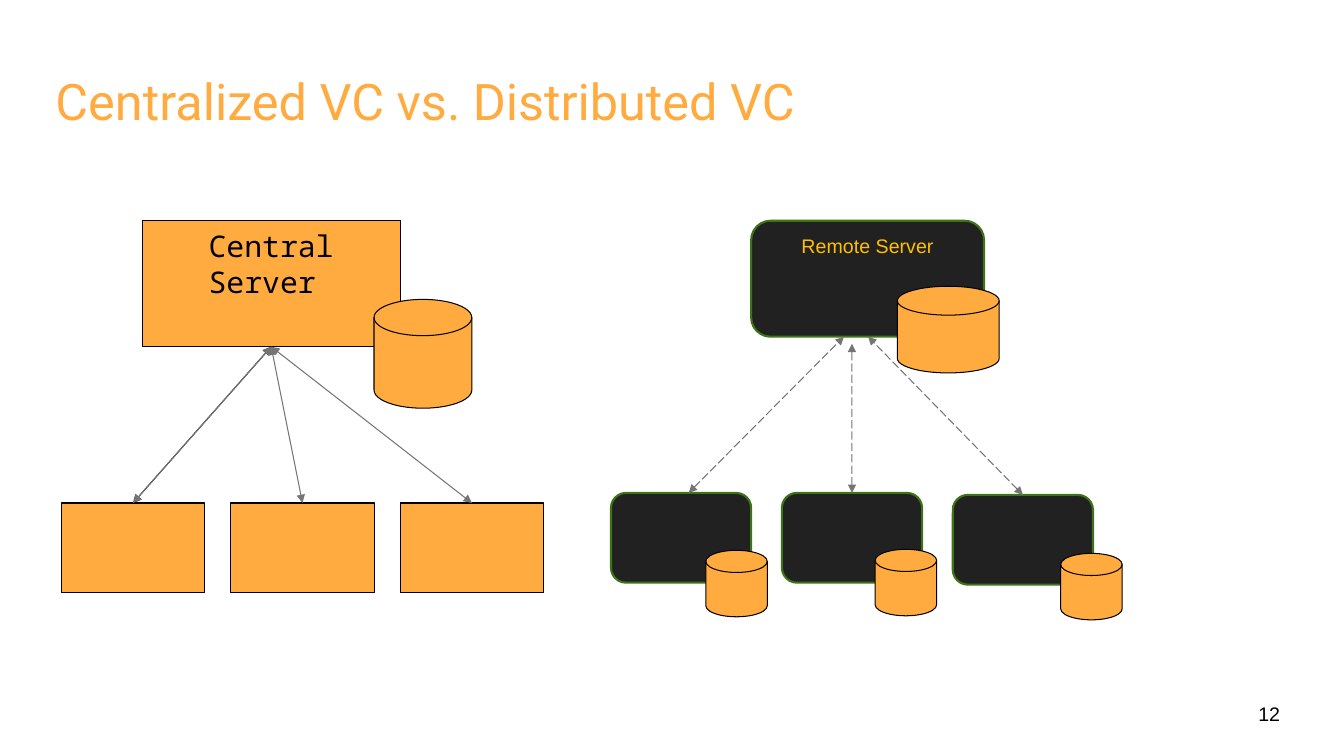
"""Build a slide comparing centralized and distributed version control."""
from lxml.etree import SubElement
from pptx import Presentation
from pptx.dml.color import RGBColor
from pptx.enum.dml import MSO_LINE
from pptx.enum.shapes import MSO_CONNECTOR, MSO_SHAPE
from pptx.enum.text import MSO_ANCHOR, PP_ALIGN
from pptx.oxml.ns import qn
from pptx.util import Inches, Pt

ORANGE = RGBColor(0xFF, 0xAB, 0x40)
GOLD = RGBColor(0xFF, 0xC0, 0x00)
BLACK = RGBColor(0x00, 0x00, 0x00)
CHARCOAL = RGBColor(0x21, 0x21, 0x21)
GREEN = RGBColor(0x3D, 0x74, 0x18)
GRAY = RGBColor(0x75, 0x75, 0x75)

TITLE = "Centralized VC vs. Distributed VC"
CENTRAL_LABEL = ["Central", "Server"]
REMOTE_LABEL = ["Remote Server"]
PAGE_NUMBER = "12"

CENTRAL_SERVER = (1.41, 2.19, 2.56, 1.25)
CENTRAL_DISK = (3.71, 2.97, 0.97, 1.08)
CENTRAL_CLIENTS = [(0.61 + 1.68 * i, 4.99, 1.42, 0.89) for i in range(3)]

REMOTE_SERVER = (7.45, 2.19, 2.31, 1.15)
REMOTE_DISK = (8.9, 2.84, 1.01, 0.86)
REMOTE_CLIENTS = [(6.06 + 1.695 * i, top, 1.39, 0.89)
                  for i, top in enumerate((4.89, 4.89, 4.91))]
CLIENT_DISKS = [(left, top, 0.61, 0.66)
                for left, top in ((7, 5.46), (8.68, 5.45), (10.52, 5.49))]
REMOTE_LINKS = [((6.83, 4.89), (8.37, 3.34)),
                ((8.45, 4.89), (8.45, 3.41)),
                ((10.15, 4.91), (8.61, 3.34))]


def inches(values):
    return [Inches(value) for value in values]


def add_block(slide, kind, box, fill, border, weight):
    block = slide.shapes.add_shape(kind, *inches(box))
    block.shadow.inherit = False
    block.fill.solid()
    block.fill.fore_color.rgb = fill
    block.line.color.rgb = border
    block.line.width = Pt(weight)
    return block


def add_box(slide, box):
    return add_block(slide, MSO_SHAPE.RECTANGLE, box, ORANGE, BLACK, 0.75)


def add_rounded(slide, box):
    return add_block(slide, MSO_SHAPE.ROUNDED_RECTANGLE, box, CHARCOAL, GREEN, 1.5)


def add_disk(slide, box):
    return add_block(slide, MSO_SHAPE.FLOWCHART_MAGNETIC_DISK, box, ORANGE, BLACK, 0.75)


def write(shape, lines, font, size, color, align=PP_ALIGN.LEFT,
          anchor=MSO_ANCHOR.TOP, margins=(0.13, 0.07, 0.13, 0.07)):
    frame = shape.text_frame
    frame.word_wrap = True
    frame.vertical_anchor = anchor
    (frame.margin_left, frame.margin_top,
     frame.margin_right, frame.margin_bottom) = inches(margins)
    frame.text = "\n".join(lines)
    for paragraph in frame.paragraphs:
        paragraph.alignment = align
        paragraph.font.name = font
        paragraph.font.size = Pt(size)
        paragraph.font.color.rgb = color


def add_link(slide, start, end, color=GRAY, dash=None):
    link = slide.shapes.add_connector(MSO_CONNECTOR.STRAIGHT, *inches(start + end))
    link.line.color.rgb = color
    link.line.width = Pt(0.75)
    if dash:
        link.line.dash_style = dash
    outline = link.line._get_or_add_ln()
    for arrowhead in ("a:headEnd", "a:tailEnd"):
        SubElement(outline, qn(arrowhead), type="triangle", w="med", len="med")
    SubElement(link._element.spPr, qn("a:effectLst"))
    return link


def draw_centralized(slide):
    server = add_box(slide, CENTRAL_SERVER)
    write(server, CENTRAL_LABEL, "Noto Sans Mono", 21.3, BLACK,
          margins=(0.66, 0.07, 0.13, 0.07))
    add_disk(slide, CENTRAL_DISK)
    clients = [add_box(slide, box) for box in CENTRAL_CLIENTS]
    for client, color in zip(clients[:1] + clients, (BLACK, GRAY, GRAY, GRAY)):
        link = add_link(slide, (0, 0), (1, 1), color)
        link.begin_connect(client, 0)
        link.end_connect(server, 2)


def draw_distributed(slide):
    clients = [add_rounded(slide, box) for box in REMOTE_CLIENTS]
    for box in CLIENT_DISKS:
        add_disk(slide, box)
    server = add_rounded(slide, REMOTE_SERVER)
    write(server, REMOTE_LABEL, "Arial", 14, GOLD, PP_ALIGN.CENTER)
    add_disk(slide, REMOTE_DISK)
    links = [add_link(slide, start, end, dash=MSO_LINE.LONG_DASH)
             for start, end in REMOTE_LINKS]
    for link, client in zip(links[1:], clients[1:]):
        link.begin_connect(client, 0)


def main():
    deck = Presentation()
    deck.slide_width, deck.slide_height = inches((13.33, 7.5))
    slide = deck.slides.add_slide(deck.slide_layouts[5])

    title = slide.shapes.title
    title.left, title.top, title.width, title.height = inches((0.45, 0.65, 12.42, 0.83))
    write(title, [TITLE], "Roboto", 36, ORANGE, margins=(0.1, 0.05, 0.1, 0.05))

    draw_centralized(slide)
    draw_distributed(slide)

    page = slide.shapes.add_textbox(*inches((12.35, 6.8, 0.8, 0.57)))
    write(page, [PAGE_NUMBER], "Arial", 14, BLACK,
          anchor=MSO_ANCHOR.MIDDLE, margins=(0.13,) * 4)
    deck.save("out.pptx")


if __name__ == "__main__":
    main()
